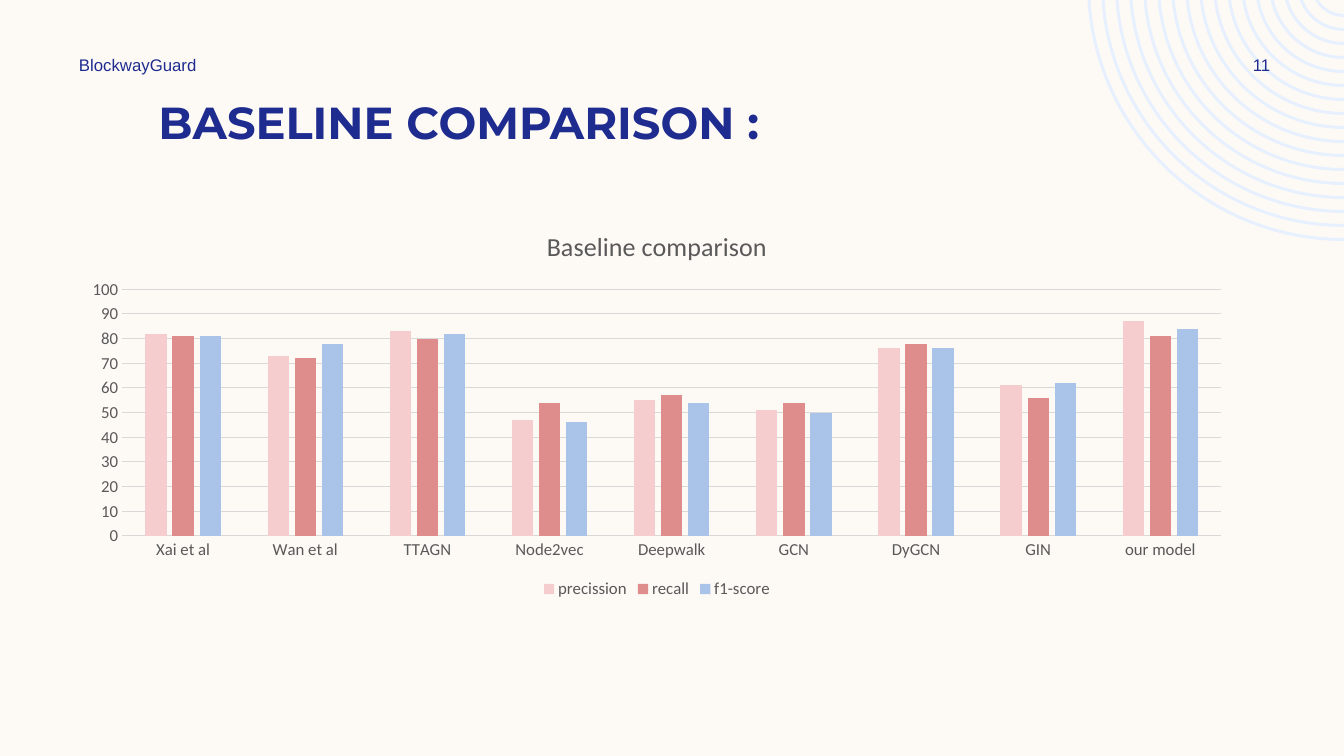
from math import asin, cos, pi, sin, tan

from lxml.etree import SubElement
from pptx import Presentation
from pptx.chart.data import CategoryChartData
from pptx.dml.color import RGBColor
from pptx.enum.chart import XL_CHART_TYPE, XL_LEGEND_POSITION, XL_TICK_MARK
from pptx.enum.text import MSO_ANCHOR, PP_ALIGN
from pptx.oxml.ns import qn
from pptx.util import Emu, Pt

EMU_PER_PX = 914400 / 100.8
W, H = 1344, 756

NAVY, GREY, GRID = "1F2C8F", "595959", "D9D9D9"
CREAM, PALE_BLUE = "FDFAF6", "E6F0FE"

MODELS = ["Xai et al", "Wan et al", "TTAGN", "Node2vec", "Deepwalk",
          "GCN", "DyGCN", "GIN", "our model"]
SCORES = [
    ("precission", "F5CDCE", [82, 73, 83, 47, 55, 51, 76, 61, 87]),
    ("recall", "DE8C8C", [81, 72, 80, 54, 57, 54, 78, 56, 81]),
    ("f1-score", "AAC3E8", [81, 78, 82, 46, 54, 50, 76, 62, 84]),
]


def px(n):
    return Emu(round(n * EMU_PER_PX))


def rgb(color):
    return RGBColor.from_string(color)


def set_font(font, size, color, name="Calibri", bold=False):
    font.size, font.name, font.bold = Pt(size), name, bold
    font.color.rgb = rgb(color)


def write(tf, text, size=12, color=NAVY, name="Arial", bold=False,
          align=PP_ALIGN.LEFT, anchor=MSO_ANCHOR.MIDDLE):
    tf.word_wrap = True
    tf.vertical_anchor = anchor
    p = tf.paragraphs[0]
    p.alignment = align
    r = p.add_run()
    r.text = text
    set_font(r.font, size, color, name, bold)


def merge_into_curve(segments):
    """Turn three line segments into one cubic curve."""
    first = segments[0]
    curve = SubElement(first.getparent(), qn("a:cubicBezTo"))
    first.addprevious(curve)
    for segment in segments:
        curve.append(segment[0])
        segment.getparent().remove(segment)


class Deck:
    def __init__(self):
        self.prs = Presentation()
        self.prs.slide_width, self.prs.slide_height = px(W), px(H)
        self.s = self.prs.slides.add_slide(self.prs.slide_layouts[6])
        fill = self.s.background.fill
        fill.solid()
        fill.fore_color.rgb = rgb(CREAM)

    def text(self, x, y, w, h, text, **fmt):
        sp = self.s.shapes.add_textbox(px(x), px(y), px(w), px(h))
        write(sp.text_frame, text, **fmt)

    def rings(self, cx, cy, radii, thickness, color):
        """Concentric bands, cut off at the slide's top and right edges."""
        unit = 100  # local units per px

        def arc(radius):
            start = pi - asin(-cy / radius)
            x, y = cx + radius * cos(start), 0
            reach = radius * 4 / 3 * tan((start - pi / 2) / 4)
            bottom = cy + radius
            points = [(x, y), (x + reach * sin(start), y - reach * cos(start)),
                      (cx - reach, bottom), (cx, bottom)]
            return [(round(px_x * unit), round(px_y * unit)) for px_x, px_y in points]

        bands = [arc(r) + arc(r - thickness)[::-1] for r in radii]
        fb = self.s.shapes.build_freeform(*bands[0][0], scale=EMU_PER_PX / unit)
        for i, band in enumerate(bands):
            if i:
                fb.move_to(*band[0])
            fb.add_line_segments(band[1:], close=True)
        sp = fb.convert_to_shape()
        sp.shadow.inherit = False
        sp.fill.solid()
        sp.fill.fore_color.rgb = rgb(color)
        sp.line.fill.background()

        # Each band has seven segments: outer arc, straight edge, inner arc
        segments = list(sp._element.iter(qn("a:lnTo")))
        for i in range(0, len(segments), 7):
            merge_into_curve(segments[i:i + 3])
            merge_into_curve(segments[i + 4:i + 7])

    def column_chart(self, x, y, w, h, title, categories, series):
        data = CategoryChartData()
        data.categories = categories
        for name, _, values in series:
            data.add_series(name, values)
        chart = self.s.shapes.add_chart(XL_CHART_TYPE.COLUMN_CLUSTERED,
                                        px(x), px(y), px(w), px(h), data).chart
        set_font(chart.font, 12, GREY)

        # Title and legend
        chart.has_title = True
        tf = chart.chart_title.text_frame
        tf.text = title
        set_font(tf.paragraphs[0].runs[0].font, 18.6, GREY)
        chart.chart_title.include_in_layout = False
        chart.has_legend = True
        chart.legend.position = XL_LEGEND_POSITION.BOTTOM
        chart.legend.include_in_layout = False
        set_font(chart.legend.font, 12, GREY)

        # Columns
        plot = chart.plots[0]
        plot.gap_width, plot.overlap, plot.vary_by_categories = 219, -27, False
        for ser, (_, color, _) in zip(plot.series, series):
            ser.format.fill.solid()
            ser.format.fill.fore_color.rgb = rgb(color)

        # Axes
        cat, val = chart.category_axis, chart.value_axis
        for axis in (cat, val):
            axis.major_tick_mark = axis.minor_tick_mark = XL_TICK_MARK.NONE
            set_font(axis.tick_labels.font, 12, GREY)
        val.minimum_scale, val.maximum_scale, val.major_unit = 0, 100, 10
        val.has_major_gridlines = True
        val.format.line.fill.background()
        for line in (cat.format.line, val.major_gridlines.format.line):
            line.color.rgb = rgb(GRID)
            line.width = Pt(0.75)


def main():
    deck = Deck()

    # Corner decoration
    deck.rings(W, -16, range(257, 32, -14), 3, PALE_BLUE)

    # Title
    deck.text(-129, 90, 1176, 85, "BASELINE COMPARISON :", size=32, name="Montserrat",
              bold=True, align=PP_ALIGN.CENTER, anchor=MSO_ANCHOR.TOP)

    # Results
    deck.column_chart(69, 210, 1176, 393, "Baseline comparison", MODELS, SCORES)

    # Header line
    deck.text(69, 50, 353, 30, "BlockwayGuard")
    deck.text(1207, 50, 109, 30, "11", align=PP_ALIGN.CENTER)

    deck.prs.save("out.pptx")


if __name__ == "__main__":
    main()
